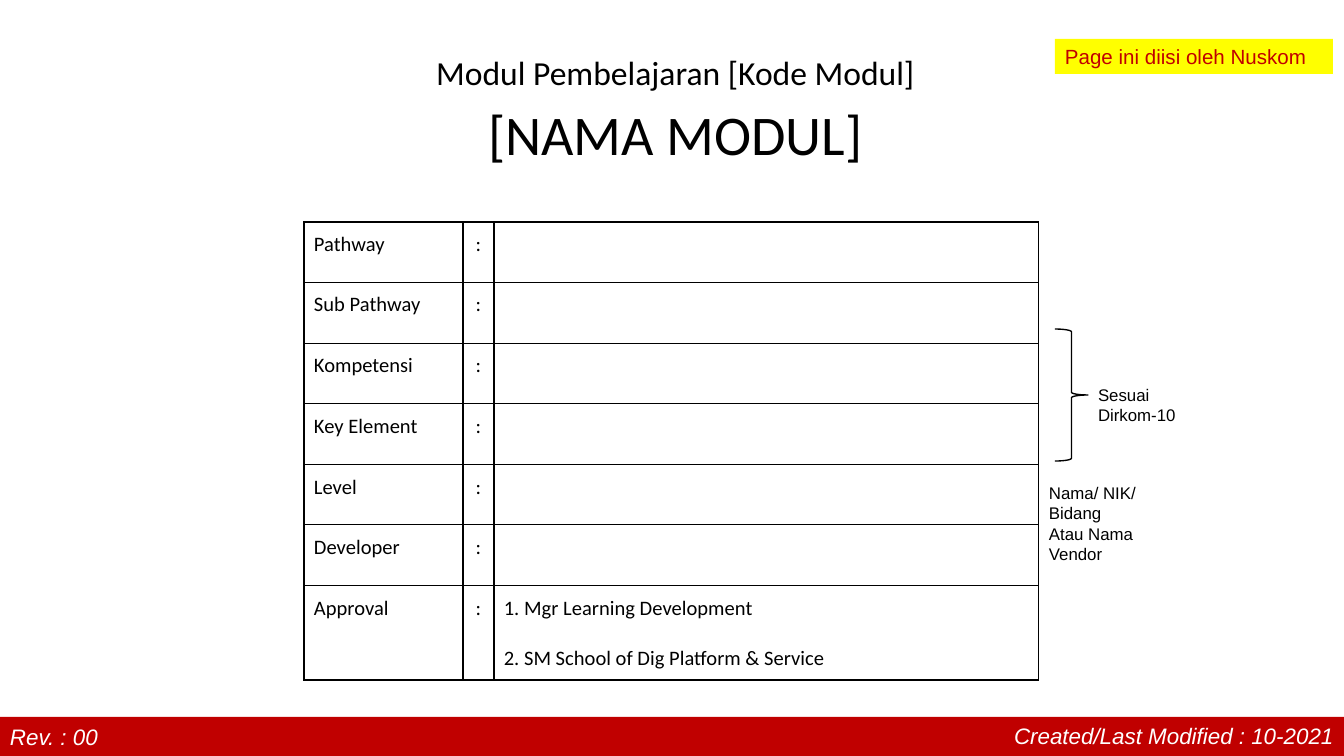
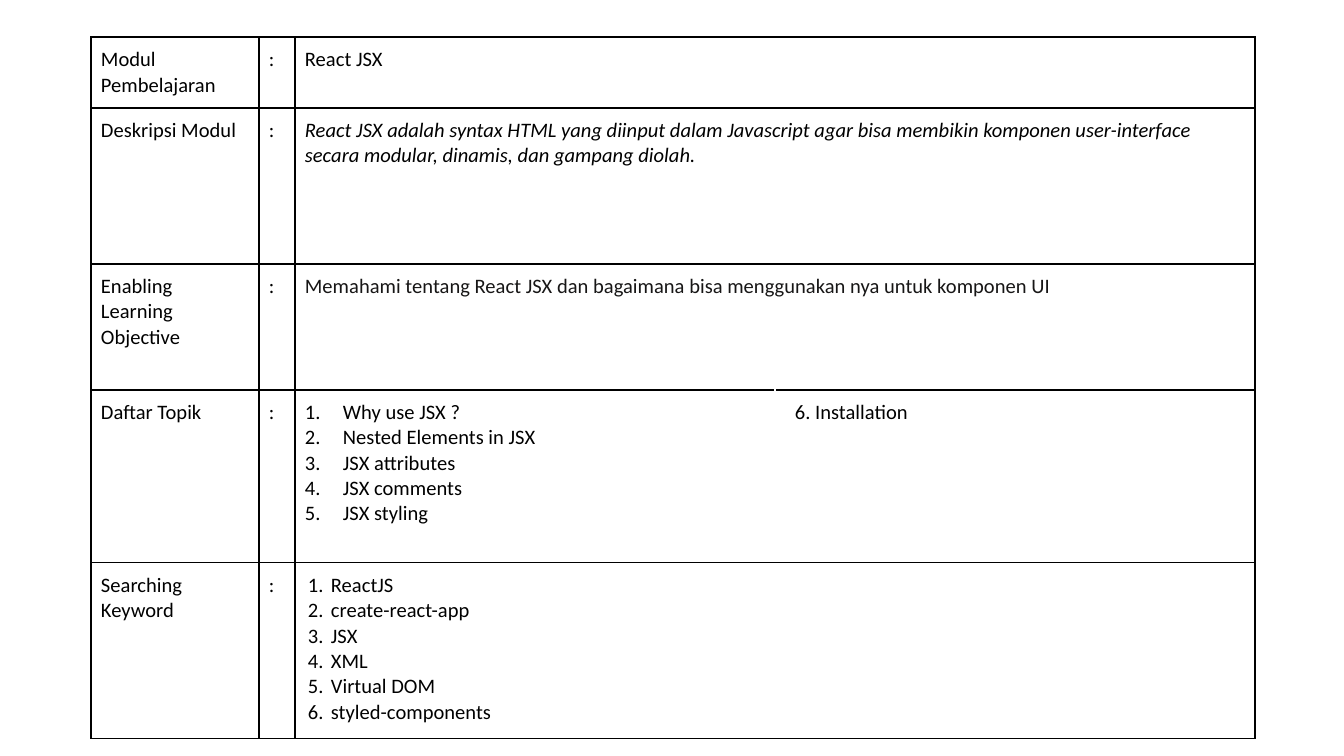
from lxml.etree import SubElement
from pptx import Presentation
from pptx.dml.color import RGBColor
from pptx.enum.shapes import MSO_SHAPE as SHAPE
from pptx.enum.text import MSO_ANCHOR as ANCHOR, PP_ALIGN as ALIGN
from pptx.oxml.ns import qn
from pptx.util import Emu, Pt

SCALE = 914400 / 134.4  # EMU per px
COLORS = {
    "black": "000000", "white": "FFFFFF", "red": "C00000",
    "yellow": "FFFF00", "ink": "171616",
}
RGB = {name: RGBColor.from_string(value) for name, value in COLORS.items()}
SIDES = {"left": "a:lnL", "right": "a:lnR", "top": "a:lnT", "bottom": "a:lnB"}

# Text formats
TITLE = {"name": "Calibri", "size": Pt(18), "color": "black"}
CELL = {"name": "Calibri", "size": Pt(11), "color": "black"}
NOTE = {"name": "Arial", "size": Pt(9), "color": "black"}
FOOTER = {"name": "Arial", "size": Pt(12), "color": "white", "italic": True}
TAG = {"name": "Arial", "size": Pt(11), "color": "red"}


def px(*lengths):
    return [Emu(round(length * SCALE)) for length in lengths]


def write(frame, lines, style, layout=None, indent=None, numbered=False):
    """Fill a text frame, one paragraph per line."""
    frame.word_wrap = True
    for number, line in enumerate(lines):
        para = frame.add_paragraph() if number else frame.paragraphs[0]
        for key, value in {"alignment": ALIGN.LEFT, **(layout or {})}.items():
            if key != "space_before" or number:
                setattr(para, key, value)
        props = para._p.get_or_add_pPr()
        if indent:
            left, first = px(*indent)
            props.set("marL", str(left))
            props.set("indent", str(first))
        if numbered:
            SubElement(props, qn("a:buFont")).set("typeface", "+mj-lt")
            SubElement(props, qn("a:buAutoNum")).set("type", "arabicPeriod")
        span = para.add_run()
        span.text = line
        for key, value in style.items():
            if key == "color":
                span.font.color.rgb = RGB[value]
            else:
                setattr(span.font, key, value)


deck = Presentation()
deck.slide_width, deck.slide_height = px(1344, 756)
cover, summary = [deck.slides.add_slide(deck.slide_layouts[6]) for _ in range(2)]

# Cover: shapes without text
for kind, place, fill in [
    (SHAPE.RIGHT_BRACE, (1055, 329, 33, 132), None),
    (SHAPE.RECTANGLE, (0, 717, 1344, 40), "red"),
    (SHAPE.RECTANGLE, (1055, 39, 278, 35), "yellow"),
]:
    shape = cover.shapes.add_shape(kind, *px(*place))
    shape.shadow.inherit = False
    if fill:
        shape.fill.solid()
        shape.fill.fore_color.rgb = RGB[fill]
        shape.line.fill.background()
    else:
        shape.fill.background()
        shape.line.color.rgb = RGB["black"]
        shape.line.width = Pt(0.75)
tag = shape

# Cover: title, side notes, footer and tag
heading = {"alignment": ALIGN.CENTER, "line_spacing": 0.9, "space_before": Pt(8)}
texts = [
    ((168, 51, 1008, 126), ["Modul Pembelajaran [Kode Modul]", "[NAMA MODUL]"],
     TITLE, heading, (51, -44)),
    ((1088, 380, 141, 51), ["Sesuai Dirkom-10"], NOTE, None, None),
    ((1039, 478, 153, 91), ["Nama/ NIK/ Bidang", "Atau Nama Vendor"], NOTE, None, None),
    ((0, 718, 214, 38), ["Rev. : 00"], FOOTER, None, None),
    ((949, 717, 395, 38), ["Created/Last Modified : 10-2021"], FOOTER,
     {"alignment": ALIGN.RIGHT}, None),
    (None, ["Page ini diisi oleh Nuskom"], TAG, None, None),
]
for place, lines, style, layout, indent in texts:
    box = cover.shapes.add_textbox(*px(*place)) if place else tag
    frame = box.text_frame
    frame.vertical_anchor = ANCHOR.TOP
    frame.margin_left, frame.margin_right, frame.margin_top, frame.margin_bottom = px(10, 10, 5, 5)
    write(frame, lines, style, layout, indent)
    if style is TITLE:
        frame.paragraphs[1].runs[0].font.size = Pt(30)

# Table rows: label, then the content cells as keyword sets for write()
labels = ["Pathway", "Sub Pathway", "Kompetensi", "Key Element", "Level", "Developer"]
cover_rows = [(label, []) for label in labels]
cover_rows.append(("Approval", [{
    "lines": ["1. Mgr Learning Development", "2. SM School of Dig Platform & Service"],
    "layout": {"space_before": Pt(13.4)},
}]))
topics = ["Why use JSX ?", "Nested Elements in JSX", "JSX attributes",
          "JSX comments", "JSX styling"]
keywords = ["ReactJS", "create-react-app", "JSX", "XML", "Virtual DOM",
            "styled-components"]
summary_rows = [
    ("Modul Pembelajaran", [{"lines": ["React JSX"]}]),
    ("Deskripsi Modul", [{
        "lines": ["React JSX adalah syntax HTML yang diinput dalam Javascript agar bisa "
                  "membikin komponen user-interface secara modular, dinamis, dan gampang diolah."],
        "style": {**CELL, "italic": True},
    }]),
    ("Enabling Learning Objective", [{
        "lines": ["Memahami tentang React JSX dan bagaimana bisa menggunakan nya "
                  "untuk komponen UI"],
        "style": {**CELL, "color": "ink"},
        "layout": {"alignment": ALIGN.JUSTIFY},
    }]),
    ("Daftar Topik", [
        {"lines": topics, "indent": (38, -38), "numbered": True},
        {"lines": ["6. Installation"], "indent": (38, -28)},
    ]),
    ("Searching Keyword", [{"lines": keywords, "indent": (26, -23), "numbered": True}]),
]

# Tables on both slides
tables = [
    (cover, (304, 222), [159, 31, 545], [60, 61] * 3 + [94], ALIGN.CENTER, cover_rows),
    (summary, (91, 37), [168, 36, 480, 480], [71, 156, 126, 173, 176], ALIGN.LEFT, summary_rows),
]
for page, corner, widths, heights, colon_align, rows in tables:
    grid = page.shapes.add_table(
        len(heights), len(widths), *px(*corner, sum(widths), sum(heights))).table
    grid.first_row = grid.horz_banding = False
    for column, width in zip(grid.columns, px(*widths)):
        column.width = width
    for row, height in zip(grid.rows, px(*heights)):
        row.height = height

    for r, (label, contents) in enumerate(rows):
        split = len(contents) == 2
        cells = [{"lines": [label]},
                 {"lines": [":"], "layout": {"alignment": colon_align}}, *contents]
        for c in range(len(widths)):
            cell = grid.cell(r, c)
            cell.margin_left, cell.margin_right, cell.margin_top, cell.margin_bottom = px(*[10] * 4)
            # Borders, white between the two topic columns
            for side, tag_name in SIDES.items():
                hidden = split and (c, side) in [(2, "right"), (3, "left")]
                line = SubElement(cell._tc.get_or_add_tcPr(), qn(tag_name), w=str(Pt(0.75)))
                paint = SubElement(line, qn("a:solidFill"))
                SubElement(paint, qn("a:srgbClr")).set(
                    "val", COLORS["white" if hidden else "black"])
            cell.fill.background()
            if c < len(cells):
                write(cell.text_frame, **{"style": CELL, **cells[c]})
        if len(widths) == 4 and not split:
            grid.cell(r, 2).merge(grid.cell(r, 3))

deck.save("out.pptx")
